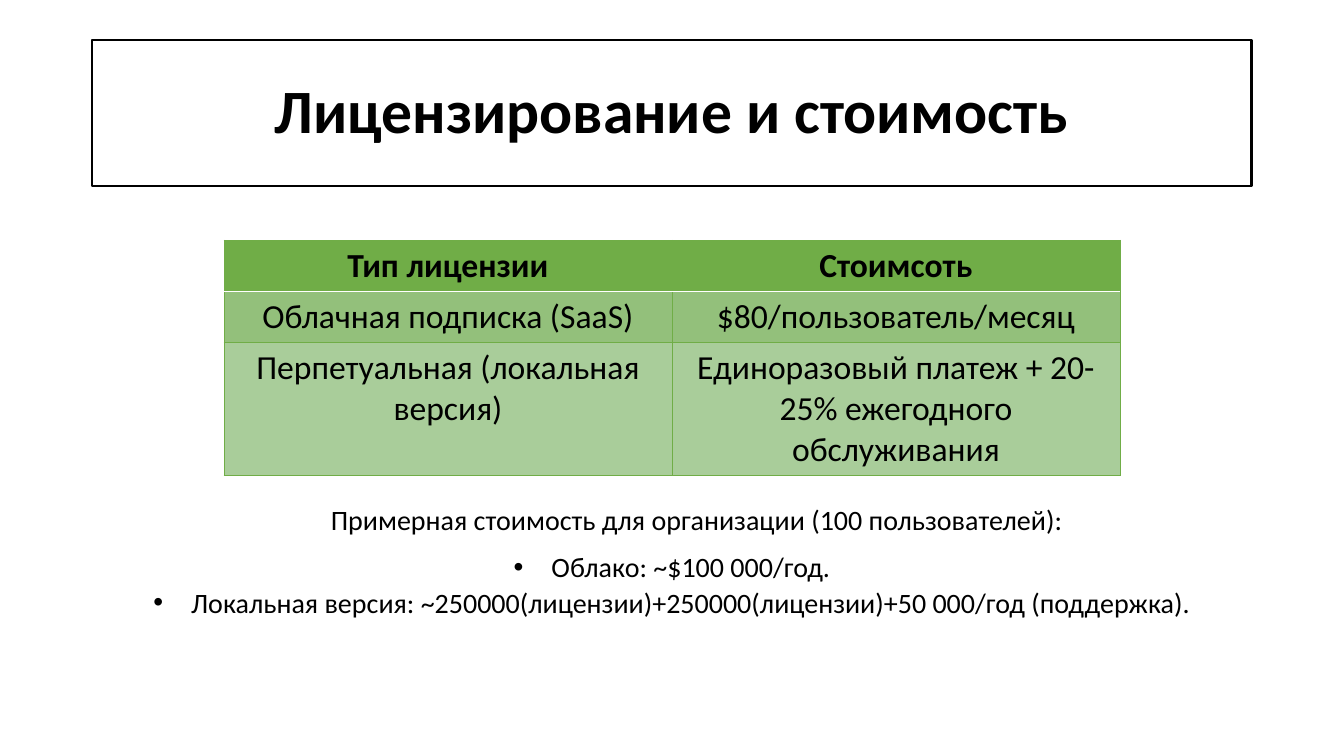
from lxml.etree import SubElement
from pptx import Presentation
from pptx.dml.color import RGBColor
from pptx.enum.shapes import MSO_SHAPE
from pptx.enum.text import MSO_ANCHOR, MSO_AUTO_SIZE, PP_ALIGN
from pptx.oxml import parse_xml
from pptx.oxml.ns import nsdecls, qn
from pptx.util import Pt

# Content
TITLE = "Лицензирование и стоимость"
LICENSES = [
    ("Тип лицензии", "Стоимсоть"),
    ("Облачная подписка (SaaS)", "$80/пользователь/месяц"),
    ("Перпетуальная (локальная версия)",
     "Единоразовый платеж + 20-25% ежегодного обслуживания"),
]
ESTIMATE_HEADING = "Примерная стоимость для организации (100 пользователей):"
ESTIMATES = [
    "Облако: ~$100 000/год.",
    "Локальная версия: ~250000(лицензии)+250000(лицензии)+50 000/год (поддержка).",
]

# Style
FONT = "Calibri"
BLACK = RGBColor(0x00, 0x00, 0x00)
WHITE = RGBColor(0xFF, 0xFF, 0xFF)
GREEN = RGBColor(0x70, 0xAD, 0x47)
ROW_FILLS = [GREEN, RGBColor(0x93, 0xC0, 0x7B), RGBColor(0xA9, 0xCD, 0x9A)]
ROW_HEIGHTS = [36.5, 36.5, 95]
COLUMN_WIDTH = 320


def write(para, text, size=20, bold=False, spacing=None, after=0,
          left=0, indent=0, bullet=None):
    """Fill one centred paragraph."""
    para.alignment = PP_ALIGN.CENTER
    para.space_after = Pt(after)
    if spacing:
        para.line_spacing = spacing
    properties = para._p.get_or_add_pPr()
    properties.set("marL", str(Pt(left)))
    properties.set("indent", str(Pt(indent)))
    if bullet:
        SubElement(properties, qn("a:buFont"), typeface="Arial")
        SubElement(properties, qn("a:buChar"), char=bullet)
        tabs = SubElement(properties, qn("a:tabLst"))
        SubElement(tabs, qn("a:tab"), pos=str(Pt(36)), algn="l")
    span = para.add_run()
    span.text = text
    span.font.name = FONT
    span.font.size = Pt(size)
    span.font.bold = bold
    span.font.color.rgb = BLACK


def set_borders(cell, **sides):
    """Draw cell borders; each side is a (colour, width) pair."""
    properties = cell._tc.get_or_add_tcPr()
    for position, side in enumerate("LRTB"):
        colour, width = sides.get(side, (GREEN, 0.5))
        properties.insert(position, parse_xml(
            f'<a:ln{side} {nsdecls("a")} w="{Pt(width)}"><a:solidFill>'
            f'<a:srgbClr val="{colour}"/></a:solidFill></a:ln{side}>'))


deck = Presentation()
deck.slide_width, deck.slide_height = Pt(960), Pt(540)
page = deck.slides.add_slide(deck.slide_layouts[6])

# Title
title_box = page.shapes.add_shape(
    MSO_SHAPE.RECTANGLE, Pt(66), Pt(28.75), Pt(828), Pt(104.4))
title_box.shadow.inherit = False
title_box.fill.solid()
title_box.fill.fore_color.rgb = WHITE
title_box.line.color.rgb = BLACK
title_box.line.width = Pt(1.5)
title_box.text_frame.word_wrap = True
title_box.text_frame.vertical_anchor = MSO_ANCHOR.MIDDLE
write(title_box.text_frame.paragraphs[0], TITLE, size=44, bold=True, spacing=0.9)

# License table
table = page.shapes.add_table(
    len(LICENSES), 2, Pt(160), Pt(171.5),
    Pt(2 * COLUMN_WIDTH), Pt(sum(ROW_HEIGHTS))).table
table.horz_banding = False
for column in table.columns:
    column.width = Pt(COLUMN_WIDTH)
header_rule = (WHITE, 1)
for row, texts in enumerate(LICENSES):
    table.rows[row].height = Pt(ROW_HEIGHTS[row])
    edges = [{"B": header_rule}, {"T": header_rule}, {}][row]
    for column, text in enumerate(texts):
        cell = table.cell(row, column)
        cell.fill.solid()
        cell.fill.fore_color.rgb = ROW_FILLS[row]
        set_borders(cell, **edges)
        write(cell.text_frame.paragraphs[0], text, size=24, bold=row == 0)

# Cost estimate
estimate_box = page.shapes.add_textbox(Pt(99.2), Pt(354.3), Pt(761.6), Pt(124.5))
frame = estimate_box.text_frame
frame.word_wrap = False
frame.auto_size = MSO_AUTO_SIZE.SHAPE_TO_FIT_TEXT
write(frame.paragraphs[0], ESTIMATE_HEADING, spacing=1.06, after=8, indent=35.4)
for number, text in enumerate(ESTIMATES, 1):
    write(frame.add_paragraph(), text, spacing=1.06, left=27, indent=-27,
          bullet="•", after=8 if number == len(ESTIMATES) else 0)

deck.save("out.pptx")
